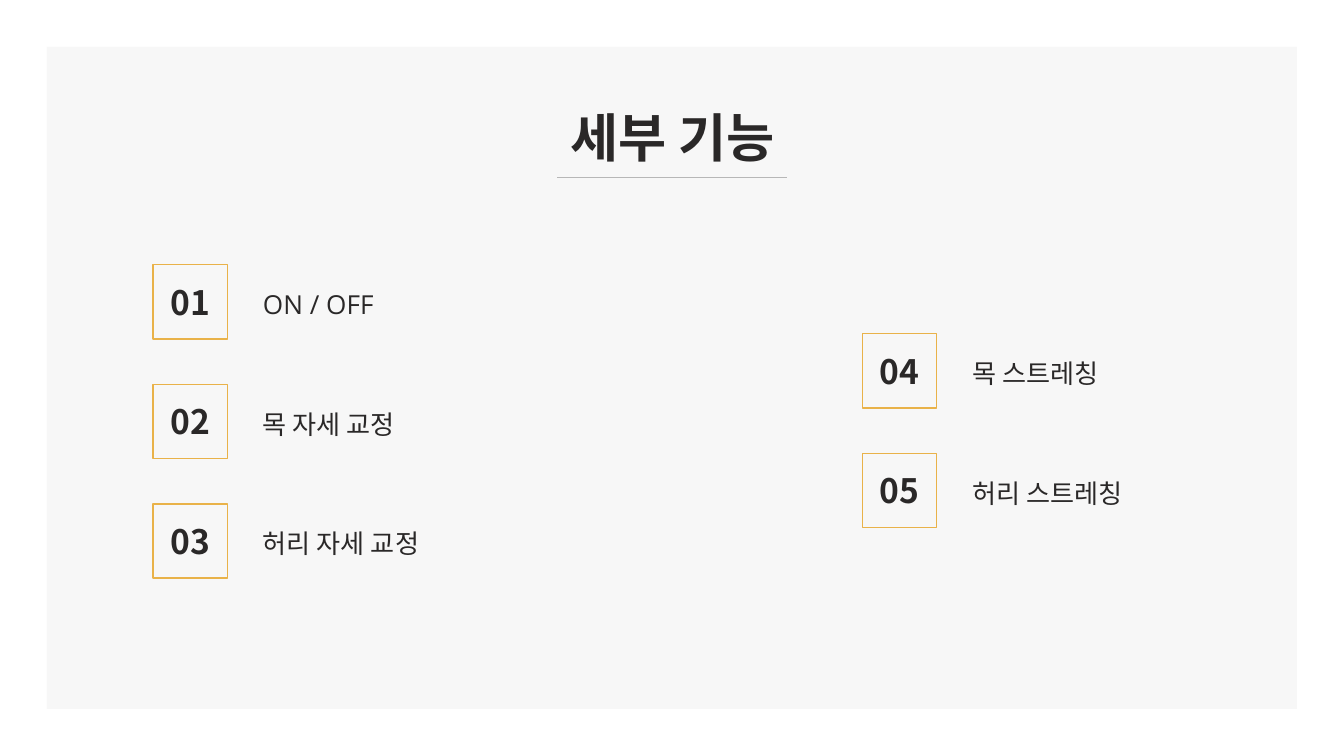
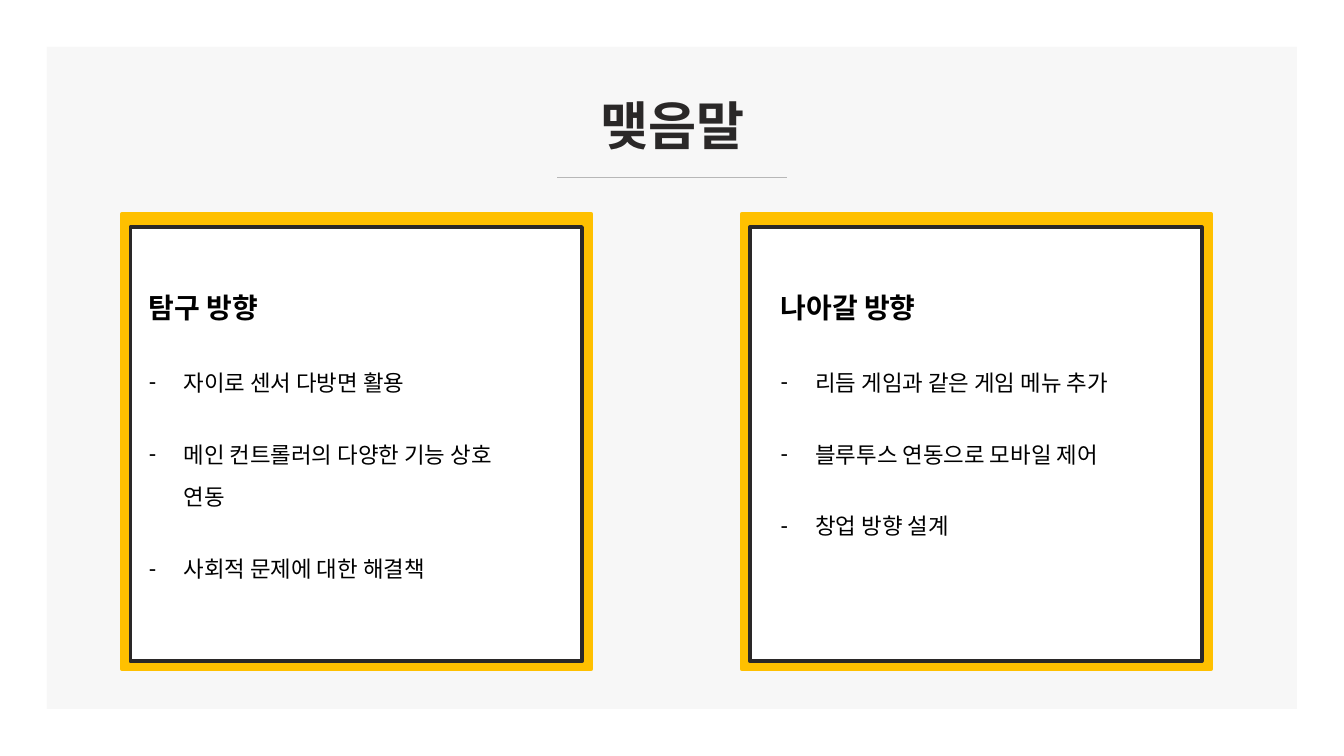
from lxml import etree
from pptx import Presentation
from pptx.dml.color import RGBColor
from pptx.enum.shapes import MSO_CONNECTOR, MSO_SHAPE
from pptx.enum.text import MSO_ANCHOR, PP_ALIGN
from pptx.oxml.ns import qn
from pptx.util import Pt

RECTANGLE, STRAIGHT = MSO_SHAPE.RECTANGLE, MSO_CONNECTOR.STRAIGHT
TOP, MIDDLE = MSO_ANCHOR.TOP, MSO_ANCHOR.MIDDLE
LEFT, CENTER, JUSTIFY = PP_ALIGN.LEFT, PP_ALIGN.CENTER, PP_ALIGN.JUSTIFY

WIDTH, HEIGHT, MARGIN = 720, 405, 25.2
INK, BLACK, WHITE = "2A2828", "000000", "FFFFFF"
PANEL, RULE, GOLD, AMBER = "F7F7F7", "B7B7B7", "E9B249", "FFC000"
KOREAN = "Noto Sans CJK KR"

# Text formats
TITLE = {"name": KOREAN, "size": Pt(28), "bold": True}
NUMBER = {"name": KOREAN, "size": Pt(18), "bold": True}
LABEL = {"name": "Open Sans", "size": Pt(14)}
HEADING = {"name": "Arial", "size": Pt(15), "bold": True}
POINT = {"name": "Arial", "size": Pt(12), "bold": False}

# Paragraph formats
CENTERED = {"alignment": CENTER}
LABEL_LINE = {"alignment": LEFT, "line_spacing": 1.15}
CARD_LINE = {"alignment": JUSTIFY, "line_spacing": 1.6}
CARD_GAP, TEXT_INDENT, BULLET_INDENT = 15.5, 56, 18.6


def color(value):
    return RGBColor.from_string(value)


def points(*values):
    return [Pt(value) for value in values]


def add_rectangle(shapes, box, fill=None, line=None, weight=0.75):
    shape = shapes.add_shape(RECTANGLE, *points(*box))
    shape.shadow.inherit = False
    if fill:
        shape.fill.solid()
        shape.fill.fore_color.rgb = color(fill)
    else:
        shape.fill.background()
    if line:
        shape.line.color.rgb = color(line)
        shape.line.width = Pt(weight)
    else:
        shape.line.fill.background()
    return shape


def set_frame(shape, anchor, inset_x=7.2, inset_y=7.2):
    frame = shape.text_frame
    frame.word_wrap = True
    frame.vertical_anchor = anchor
    frame.margin_left = frame.margin_right = Pt(inset_x)
    frame.margin_top = frame.margin_bottom = Pt(inset_y)
    return frame


def write(para, text, font, layout, ink=INK):
    for name, value in layout.items():
        setattr(para, name, value)
    span = para.add_run()
    span.text = text
    for name, value in font.items():
        setattr(span.font, name, value)
    span.font.color.rgb = color(ink)
    # East Asian typeface for the Korean letters
    etree.SubElement(span.font._element, qn("a:ea"), typeface=KOREAN)


def add_text(page, box, text, font, layout, anchor):
    frame = set_frame(page.shapes.add_textbox(*points(*box)), anchor)
    write(frame.paragraphs[0], text, font, layout)


def add_page(deck, title, title_box):
    page = deck.slides.add_slide(deck.slide_layouts[6])
    # Grey panel inside an even margin
    panel = (MARGIN, MARGIN, WIDTH - 2 * MARGIN, HEIGHT - 2 * MARGIN)
    add_rectangle(page.shapes, panel, PANEL)
    # Title over a thin rule
    add_text(page, title_box, title, TITLE, CENTERED, TOP)
    rule = page.shapes.add_connector(STRAIGHT, *points(298.5, 95, 421.5, 95))
    rule.line.color.rgb = color(RULE)
    rule.line.width = Pt(0.75)
    etree.SubElement(rule._element.spPr, qn("a:effectLst"))
    return page


def add_feature_column(page, left, top, first, labels):
    side, pitch = 39.8, 64.1
    for index, label in enumerate(labels):
        row = top + index * pitch
        # Numbered square
        square = add_rectangle(page.shapes, (left, row, side, side), line=GOLD)
        frame = set_frame(square, MIDDLE, 0, 0)
        write(frame.paragraphs[0], f"{first + index:02}", NUMBER, CENTERED)
        # Feature name
        box = (left + 51.8, row + 4.4, 158, 31)
        add_text(page, box, label, LABEL, LABEL_LINE, MIDDLE)


def set_indent(para, first_line, bullet=None):
    properties = para._p.get_or_add_pPr()
    properties.set("marL", str(Pt(TEXT_INDENT)))
    properties.set("indent", str(Pt(first_line)))
    if bullet:
        etree.SubElement(properties, qn("a:buFont"), typeface="Arial")
        etree.SubElement(properties, qn("a:buChar"), char=bullet)


def add_card(page, left, top, text_offset, heading, items):
    # Amber card with a dark-edged white sheet
    card = page.shapes.add_group_shape()
    add_rectangle(card.shapes, (left, top, 251.3, 244.1), AMBER, AMBER, 2)
    sheet = (left + 4.5, top + 7.2, 241.9, 232.6)
    add_rectangle(card.shapes, sheet, WHITE, INK, 2)
    # Heading
    box = (left + text_offset, top + 26.6, 265, 200)
    frame = set_frame(page.shapes.add_textbox(*points(*box)), TOP, 7.2, 3.6)
    para = frame.paragraphs[0]
    set_indent(para, -BULLET_INDENT)
    write(para, heading, HEADING, CARD_LINE, BLACK)
    # Points, each with its continuation lines
    for item in items:
        for index, line in enumerate(item):
            para = frame.add_paragraph()
            if index:
                set_indent(para, 0)
            else:
                set_indent(para, -BULLET_INDENT, "-")
                para.space_before = Pt(CARD_GAP)
            write(para, line, POINT, CARD_LINE, BLACK)


def build_features(deck):
    page = add_page(deck, "세부 기능", (293, 49, 134.6, 34.6))
    add_feature_column(page, 82, 141.8, 1, ["ON / OFF", "목 자세 교정", "허리 자세 교정"])
    add_feature_column(page, 462, 178.8, 4, ["목 스트레칭", "허리 스트레칭"])


def build_closing(deck):
    page = add_page(deck, "맺음말", (56.2, 42.5, 607.7, 34.6))
    add_card(page, 65.4, 114.5, -30.2, "탐구 방향", [
        ["자이로 센서 다방면 활용"],
        ["메인 컨트롤러의 다양한 기능 상호", "연동"],
        ["사회적 문제에 대한 해결책"],
    ])
    add_card(page, 397.4, 114.5, -23.7, "나아갈 방향", [
        ["리듬 게임과 같은 게임 메뉴 추가"],
        ["블루투스 연동으로 모바일 제어"],
        ["창업 방향 설계"],
    ])


def main():
    deck = Presentation()
    deck.slide_width, deck.slide_height = points(WIDTH, HEIGHT)
    build_features(deck)
    build_closing(deck)
    deck.save("out.pptx")


if __name__ == "__main__":
    main()
